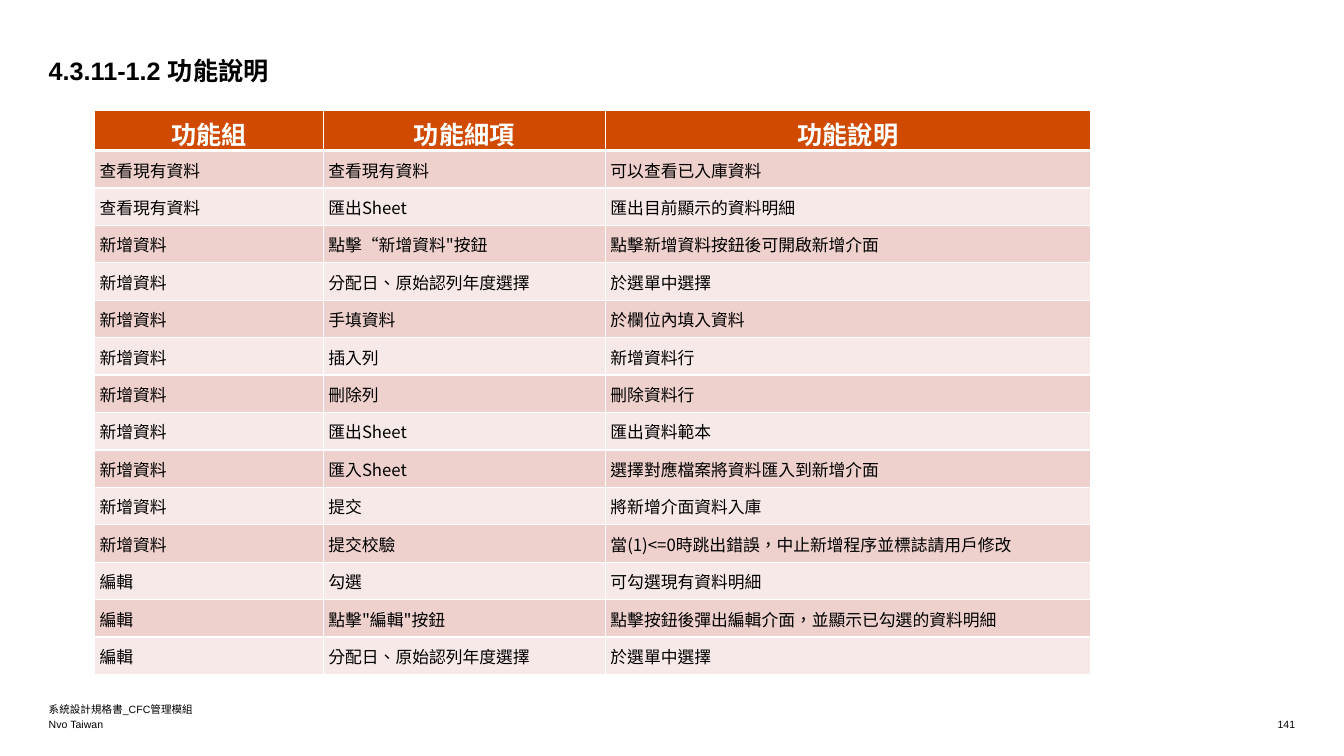
from typing import NamedTuple

from lxml import etree
from pptx import Presentation
from pptx import util as u
from pptx.dml.color import RGBColor
from pptx.enum import text as t
from pptx.oxml import ns

WHITE = RGBColor(0xFF, 0xFF, 0xFF)
BLACK = RGBColor(0x00, 0x00, 0x00)
ORANGE = RGBColor(0xD0, 0x4A, 0x02)
ROSE = RGBColor(0xEE, 0xD0, 0xCC)
PALE_ROSE = RGBColor(0xF7, 0xE9, 0xE7)

HEADING_FONT = "Arial"
BODY_FONT = "Noto Sans CJK SC"
COLUMN_WIDTHS = (163.5, 201.5, 346.5)
ROW_HEIGHT = 26.75


class Feature(NamedTuple):
    group: str
    item: str
    description: str


class FooterLine(NamedTuple):
    text: str
    left: float
    top: float
    width: float
    align: t.PP_ALIGN


HEADER = Feature("功能組", "功能細項", "功能說明")
FEATURES = (
    Feature("查看現有資料", "查看現有資料", "可以查看已入庫資料"),
    Feature("查看現有資料", "匯出Sheet", "匯出目前顯示的資料明細"),
    Feature("新增資料", "點擊“新增資料\"按鈕", "點擊新增資料按鈕後可開啟新增介面"),
    Feature("新增資料", "分配日、原始認列年度選擇", "於選單中選擇"),
    Feature("新增資料", "手填資料", "於欄位內填入資料"),
    Feature("新增資料", "插入列", "新增資料行"),
    Feature("新增資料", "刪除列", "刪除資料行"),
    Feature("新增資料", "匯出Sheet", "匯出資料範本"),
    Feature("新增資料", "匯入Sheet", "選擇對應檔案將資料匯入到新增介面"),
    Feature("新增資料", "提交", "將新增介面資料入庫"),
    Feature("新增資料", "提交校驗", "當(1)<=0時跳出錯誤，中止新增程序並標誌請用戶修改"),
    Feature("編輯", "勾選", "可勾選現有資料明細"),
    Feature("編輯", "點擊\"編輯\"按鈕", "點擊按鈕後彈出編輯介面，並顯示已勾選的資料明細"),
    Feature("編輯", "分配日、原始認列年度選擇", "於選單中選擇"),
)
FOOTER_LINES = (
    FooterLine("系統設計規格書_CFC管理模組", 34.8, 500.4, 431.3, t.PP_ALIGN.LEFT),
    FooterLine("Nvo Taiwan", 34.8, 511.2, 431.3, t.PP_ALIGN.LEFT),
    FooterLine("141", 786.2, 511.2, 139, t.PP_ALIGN.RIGHT),
)


def write_text(frame, content: str, *, size: float, font: str = HEADING_FONT,
               color: RGBColor = BLACK, bold: bool = False,
               align: t.PP_ALIGN = t.PP_ALIGN.LEFT, space_after: float = 0) -> None:
    para = frame.paragraphs[0]
    para.alignment = align
    para.space_after = u.Pt(space_after)
    span = para.add_run()
    span.text = content
    span.font.size = u.Pt(size)
    span.font.name = font
    span.font.bold = bold
    span.font.color.rgb = color
    properties = span.font._element
    properties.set("lang", "zh-TW")
    etree.SubElement(properties, ns.qn("a:ea"), typeface=BODY_FONT)


def clear_insets(frame) -> None:
    frame.margin_left = frame.margin_top = frame.margin_right = frame.margin_bottom = u.Pt(0)


def add_borders(cell, *, top_width: float, bottom_width: float) -> None:
    properties = cell._tc.get_or_add_tcPr()
    widths = {"lnL": 1, "lnR": 1, "lnT": top_width, "lnB": bottom_width}
    for position, (side, width) in enumerate(widths.items()):
        line = etree.Element(ns.qn(f"a:{side}"), w=str(u.Pt(width)))
        fill = etree.SubElement(line, ns.qn("a:solidFill"))
        etree.SubElement(fill, ns.qn("a:srgbClr"), val=str(WHITE))
        properties.insert(position, line)


def fill_cell(cell, content: str, row: int) -> None:
    cell.fill.solid()
    if row == 0:
        cell.fill.fore_color.rgb = ORANGE
        write_text(cell.text_frame, content, size=18, color=WHITE, bold=True,
                   align=t.PP_ALIGN.CENTER)
    else:
        cell.fill.fore_color.rgb = ROSE if row % 2 else PALE_ROSE
        cell.vertical_anchor = t.MSO_ANCHOR.MIDDLE
        cell.margin_left = u.Pt(3.6)
        cell.margin_top = cell.margin_right = u.Pt(0.7)
        cell.margin_bottom = u.Pt(0)
        write_text(cell.text_frame, content, size=12, font=BODY_FONT)
    add_borders(cell, top_width=3 if row == 1 else 1, bottom_width=3 if row == 0 else 1)


def add_feature_table(page) -> None:
    rows = (HEADER, *FEATURES)
    table = page.shapes.add_table(
        len(rows), len(COLUMN_WIDTHS), u.Pt(67.5), u.Pt(78.7),
        u.Pt(sum(COLUMN_WIDTHS)), u.Pt(ROW_HEIGHT * len(rows))).table
    for column, width in zip(table.columns, COLUMN_WIDTHS):
        column.width = u.Pt(width)
    for row, feature in enumerate(rows):
        table.rows[row].height = u.Pt(ROW_HEIGHT)
        for column, content in enumerate(feature):
            fill_cell(table.cell(row, column), content, row)


def add_title(page) -> None:
    title = page.shapes.title
    title.left, title.top = u.Pt(34.8), u.Pt(39.6)
    title.width, title.height = u.Pt(286.6), u.Pt(21.6)
    frame = title.text_frame
    clear_insets(frame)
    frame.vertical_anchor = t.MSO_ANCHOR.TOP
    frame.auto_size = t.MSO_AUTO_SIZE.SHAPE_TO_FIT_TEXT
    write_text(frame, "4.3.11-1.2 功能說明", size=18, bold=True, space_after=6)


def add_footer_line(page, line: FooterLine) -> None:
    box = page.shapes.add_textbox(u.Pt(line.left), u.Pt(line.top), u.Pt(line.width), u.Pt(10.8))
    frame = box.text_frame
    frame.word_wrap = True
    clear_insets(frame)
    frame.vertical_anchor = t.MSO_ANCHOR.BOTTOM
    write_text(frame, line.text, size=7.5, align=line.align)


def main() -> None:
    deck = Presentation()
    deck.slide_width, deck.slide_height = u.Pt(960), u.Pt(540)
    page = deck.slides.add_slide(deck.slide_layouts.get_by_name("Title Only"))
    add_title(page)
    add_feature_table(page)
    for line in FOOTER_LINES:
        add_footer_line(page, line)
    deck.save("out.pptx")


if __name__ == "__main__":
    main()
